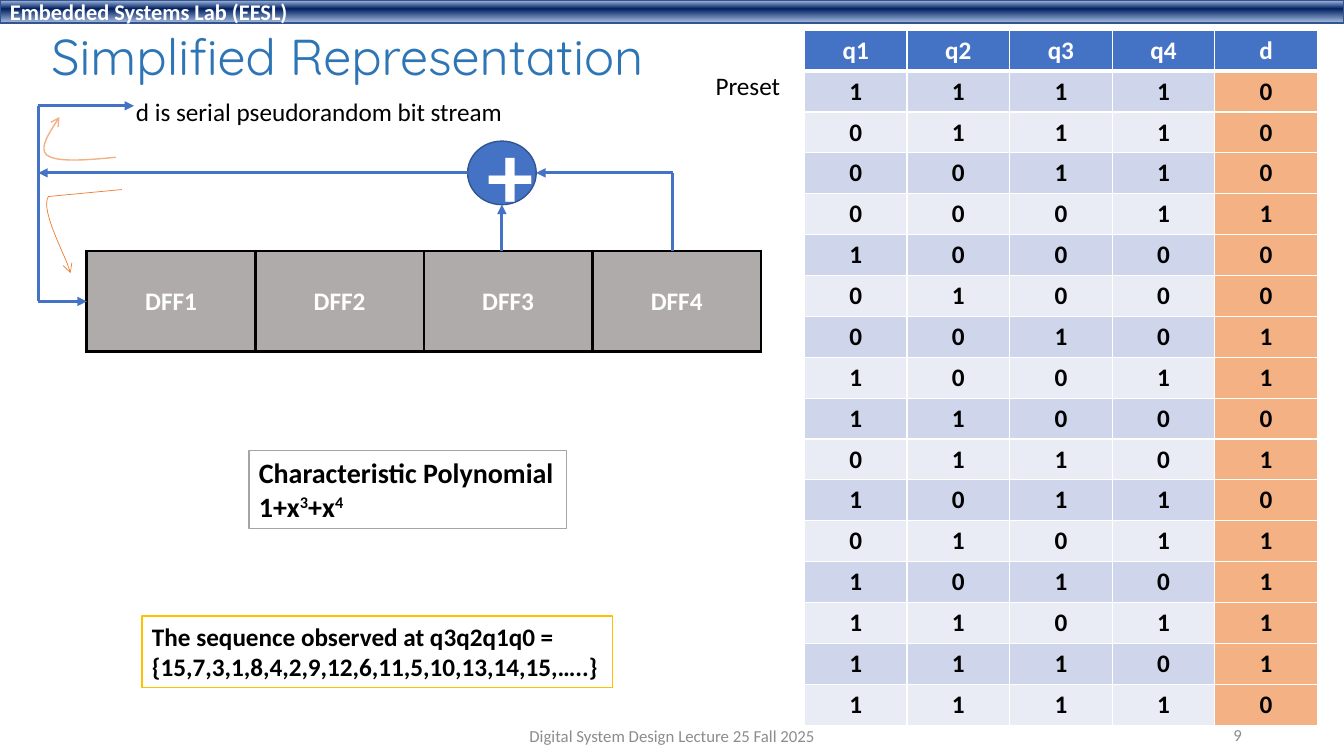
"""Builds the slide on the simplified representation of a four-bit shift register."""
from lxml import etree
from pptx import Presentation
from pptx import util as u
from pptx.dml.color import RGBColor
from pptx.enum import shapes, text
from pptx.oxml import ns

HEADER = "Embedded Systems Lab (EESL)"
TITLE = "Simplified Representation"
FOOTER = "Digital System Design Lecture 25 Fall 2025"
PAGE = "9"
STREAM = "d is serial pseudorandom bit stream"
PRESET = "Preset"
STAGES = ["DFF1", "DFF2", "DFF3", "DFF4"]
POLYNOMIAL = [["Characteristic Polynomial"], ["1+x", "^3", "+x", "^4"]]
SEQUENCE = [["The sequence observed at q3q2q1q0 ="],
            ["{15,7,3,1,8,4,2,9,12,6,11,5,10,13,14,15,…..}"]]
STATE_HEADINGS = ["q1", "q2", "q3", "q4", "d"]
STATES = [15, 7, 3, 1, 8, 4, 2, 9, 12, 6, 11, 5, 10, 13, 14, 15]
COLORS = {
    "blue": "4472C4", "outline": "325491", "title": "2E75B6", "grey": "8C8C8C",
    "stage": "AFABAB", "odd": "CFD5EA", "even": "E9EBF5", "output": "F4B183",
    "orange": "ED7D31", "gold": "FFC000", "frame": "A5A5A5",
    "white": "FFFFFF", "black": "000000",
    "bar top": "ABC0E4", "bar middle": "002060", "bar bottom": "ACC1E5",
}
HEADER_STOPS = [(0, "bar top"), (38, "bar middle"), (100, "bar bottom")]
LOOP_X, STREAM_Y = 27.4, 75.6
ADDER = (334, 100.8, 49, 45.4)
REGISTER = (62, 179.3, 481.6, 72)
STATE_TABLE = (574.6, 21.6, 366.5, 496.4)
CURVES = [
    ("orange", 0.5, [[(87.1, 135.4), (34.6, 140.4)],
                     [(34.6, 140.4), (28.1, 150.5), (49, 186.5), (50.4, 195.1)]]),
    ("output", 1, [[(82.8, 112.3), (61.2, 114.5), (40.3, 115.9), (33.8, 110.9)],
                   [(33.8, 110.9), (27.4, 105.8), (35.3, 95), (42.5, 83.5)]]),
]
LEFT, CENTER, RIGHT = text.PP_ALIGN.LEFT, text.PP_ALIGN.CENTER, text.PP_ALIGN.RIGHT


def rgb(name):
    return RGBColor.from_string(COLORS[name])


def points(values):
    return [u.Pt(value) for value in values]


def write(frame, lines, size, color, bold=False, align=LEFT, font="Calibri"):
    for index, parts in enumerate(lines):
        paragraph = frame.paragraphs[0] if index == 0 else frame.add_paragraph()
        paragraph.alignment = align
        for part in parts:
            run = paragraph.add_run()
            run.text = part.lstrip("^")
            run.font.size, run.font.bold, run.font.name = u.Pt(size), bold, font
            run.font.color.rgb = rgb(color)
            if part.startswith("^"):
                run.font._element.set("baseline", "30000")


def add_text(slide, box, lines, size, color, bold=False, align=LEFT, frame_color=None, middle=False):
    shape = slide.shapes.add_textbox(*points(box))
    shape.text_frame.word_wrap = middle
    if middle:
        shape.text_frame.vertical_anchor = text.MSO_ANCHOR.MIDDLE
    if frame_color:
        shape.fill.solid()
        shape.fill.fore_color.rgb = rgb("white")
        style_line(shape, frame_color, 1)
    write(shape.text_frame, lines, size, color, bold, align)


def style_line(shape, color, width, arrow=None):
    shape.line.color.rgb = rgb(color)
    shape.line.width = u.Pt(width)
    if arrow:
        etree.SubElement(shape.line._get_or_add_ln(), ns.qn("a:tailEnd"), type=arrow)


def add_preset(slide, kind, box, label, size, align):
    shape = slide.shapes.add_shape(kind, *points(box))
    shape.shadow.inherit = False
    shape.fill.solid()
    shape.fill.fore_color.rgb = rgb("blue")
    style_line(shape, "outline", 1)
    shape.text_frame.vertical_anchor = text.MSO_ANCHOR.MIDDLE
    write(shape.text_frame, [[label]], size, "white", True, align)
    return shape


def add_header(slide):
    header = add_preset(slide, shapes.MSO_SHAPE.RECTANGLE, (0, 0, 960, 16.6), HEADER, 16, LEFT)
    header.text_frame.margin_top = header.text_frame.margin_bottom = 0
    properties = header._element.spPr
    solid = properties.find(ns.qn("a:solidFill"))
    gradient = etree.Element(ns.qn("a:gradFill"), rotWithShape="1")
    stops = etree.SubElement(gradient, ns.qn("a:gsLst"))
    for position, color in HEADER_STOPS:
        stop = etree.SubElement(stops, ns.qn("a:gs"), pos=str(position * 1000))
        etree.SubElement(stop, ns.qn("a:srgbClr"), val=COLORS[color])
    etree.SubElement(gradient, ns.qn("a:lin"), ang="5400000", scaled="0")
    properties.replace(solid, gradient)


def add_wire(slide, start, end, arrow=None):
    wire = slide.shapes.add_connector(shapes.MSO_CONNECTOR.STRAIGHT, *points(start + end))
    style_line(wire, "blue", 2.25, arrow)
    etree.SubElement(wire._element.spPr, ns.qn("a:effectLst"))


def bezier(controls, t):
    while len(controls) > 1:
        controls = [(x0 + (x1 - x0) * t, y0 + (y1 - y0) * t)
                    for (x0, y0), (x1, y1) in zip(controls, controls[1:])]
    return points(controls[0])


def add_curve(slide, color, width, segments):
    builder = slide.shapes.build_freeform(*points(segments[0][0]))
    for controls in segments:
        steps = 1 if len(controls) == 2 else 16
        builder.add_line_segments([bezier(controls, step / steps) for step in range(1, steps + 1)], close=False)
    curve = builder.convert_to_shape()
    curve.shadow.inherit = False
    curve.fill.background()
    style_line(curve, color, width, "arrow")


def style_cell(cell, label, fill, color, border, widths):
    cell.fill.solid()
    cell.fill.fore_color.rgb = rgb(fill)
    write(cell.text_frame, [[label]], 18, color, True, CENTER)
    properties = cell._tc.get_or_add_tcPr()
    for index, (side, width) in enumerate(zip("LRTB", widths)):
        line = etree.Element(ns.qn("a:ln" + side), w=str(u.Pt(width)))
        solid = etree.SubElement(line, ns.qn("a:solidFill"))
        etree.SubElement(solid, ns.qn("a:srgbClr"), val=COLORS[border])
        properties.insert(index, line)


def add_grid(slide, box, rows, columns):
    table = slide.shapes.add_table(rows, columns, *points(box)).table
    for column in table.columns:
        column.width = u.Pt(box[2] / columns)
    for row in table.rows:
        row.height = u.Pt(box[3] / rows)
    return table


def add_register(slide):
    table = add_grid(slide, REGISTER, 1, len(STAGES))
    for cell, stage in zip(table.iter_cells(), STAGES):
        style_cell(cell, stage, "stage", "white", "black", [2.25] * 4)
        cell.vertical_anchor = text.MSO_ANCHOR.MIDDLE


def add_states(slide):
    bits = [[state >> shift & 1 for shift in (3, 2, 1, 0)] for state in STATES]
    rows = [STATE_HEADINGS] + [[*q, q[2] ^ q[3]] for q in bits]
    table = add_grid(slide, STATE_TABLE, len(rows), len(STATE_HEADINGS))
    for r, row in enumerate(rows):
        for c, value in enumerate(row):
            band = "output" if c == 4 else "odd" if r % 2 else "even"
            widths = [1, 1, 3 if r == 1 else 1, 3 if r == 0 else 1]
            fill, color = (band, "black") if r else ("blue", "white")
            style_cell(table.cell(r, c), str(value), fill, color, "white", widths)


def add_circuit(slide):
    add_register(slide)
    add_preset(slide, shapes.MSO_SHAPE.OVAL, ADDER, "+", 66, CENTER)
    left, top, width, height = ADDER
    adder_x, adder_y = left + width / 2, top + height / 2
    register_left, register_top, register_width, register_height = REGISTER
    tap_x = register_left + register_width * 3.475 / len(STAGES)
    input_y = register_top + register_height / 2
    for wire in [
        ((adder_x, register_top), (adder_x, top + height), "triangle"),
        ((tap_x, register_top), (tap_x, adder_y)),
        ((tap_x, adder_y), (left + width, adder_y), "triangle"),
        ((left, adder_y), (LOOP_X, adder_y), "triangle"),
        ((LOOP_X, STREAM_Y), (LOOP_X, input_y)),
        ((LOOP_X, input_y), (register_left, input_y), "triangle"),
        ((LOOP_X, STREAM_Y), (95.8, STREAM_Y), "triangle"),
    ]:
        add_wire(slide, *wire)


def main():
    presentation = Presentation()
    presentation.slide_width, presentation.slide_height = u.Pt(960), u.Pt(540)
    slide = presentation.slides.add_slide(presentation.slide_layouts[5])
    add_header(slide)
    title = slide.shapes.title
    title.left, title.top, title.width, title.height = points((29.5, 10.8, 530, 62.6))
    title.text_frame.vertical_anchor = text.MSO_ANCHOR.MIDDLE
    write(title.text_frame, [[TITLE]], 36, "title", False, LEFT, "Quicksand")
    title.text_frame.paragraphs[0].line_spacing = 0.9
    add_circuit(slide)
    add_text(slide, (90, 65.5, 279.4, 29), [[STREAM]], 18, "black")
    add_states(slide)
    add_text(slide, (177.8, 321.8, 226.8, 55.6), POLYNOMIAL, 20, "black", True, frame_color="frame")
    add_text(slide, (101.5, 439.9, 336.2, 51), SEQUENCE, 18, "black", True, frame_color="gold")
    add_text(slide, (504, 46.8, 61.2, 29), [[PRESET]], 18, "black")
    add_text(slide, (318.2, 511.2, 324, 28.8), [[FOOTER]], 12, "grey", align=CENTER, middle=True)
    add_text(slide, (678.2, 510.5, 216, 28.8), [[PAGE]], 12, "grey", align=RIGHT, middle=True)
    for curve in CURVES:
        add_curve(slide, *curve)
    presentation.save("out.pptx")


if __name__ == "__main__":
    main()
